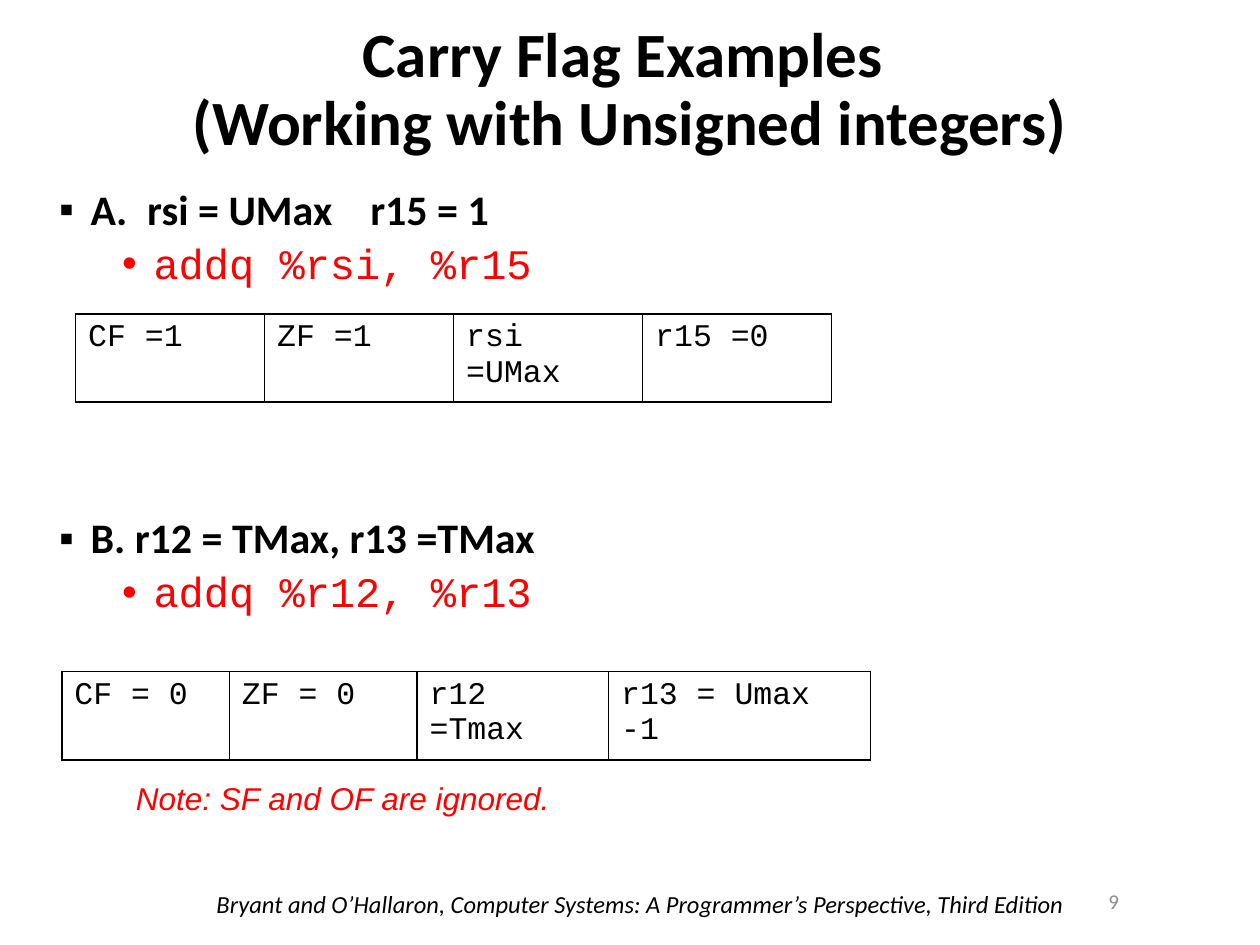
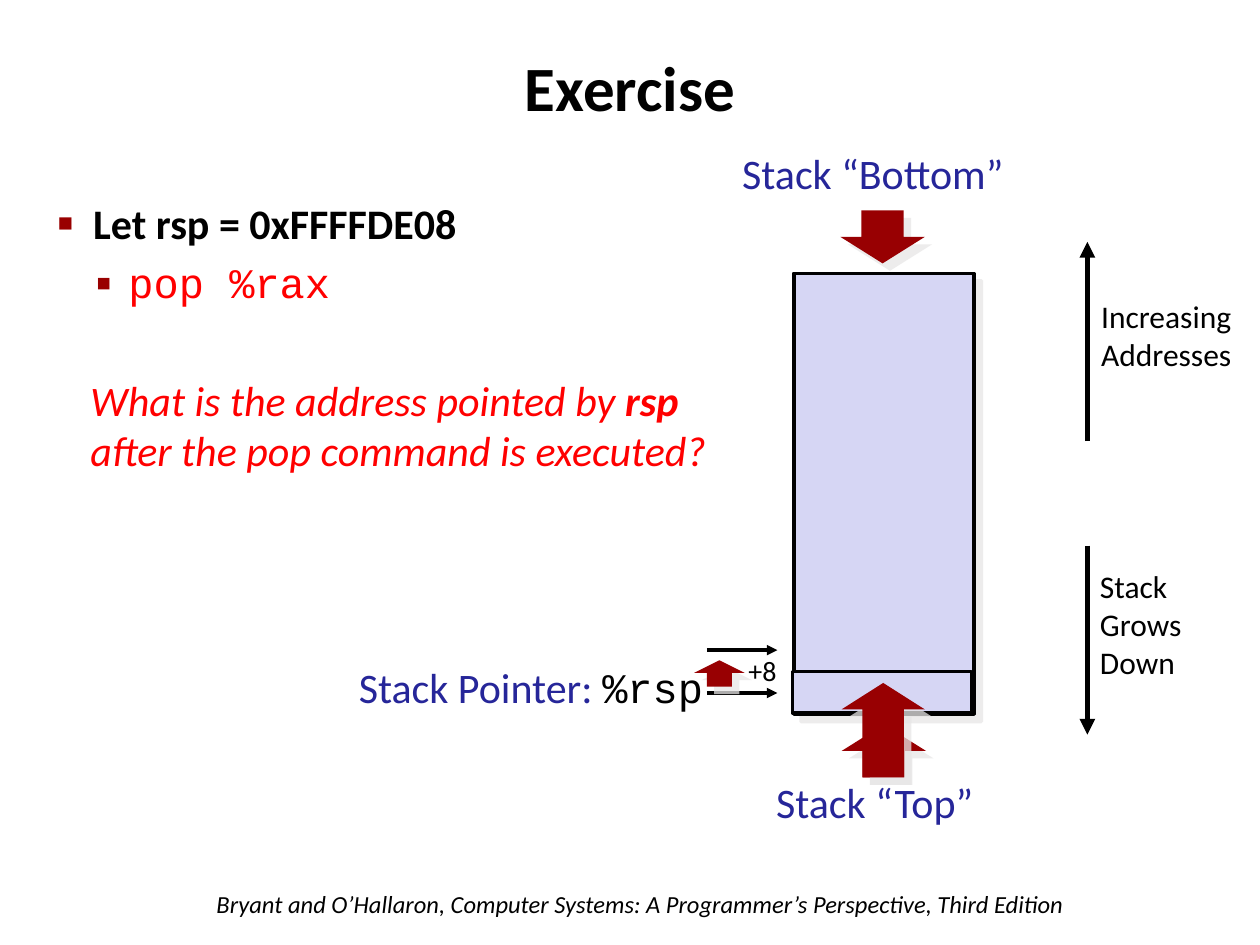
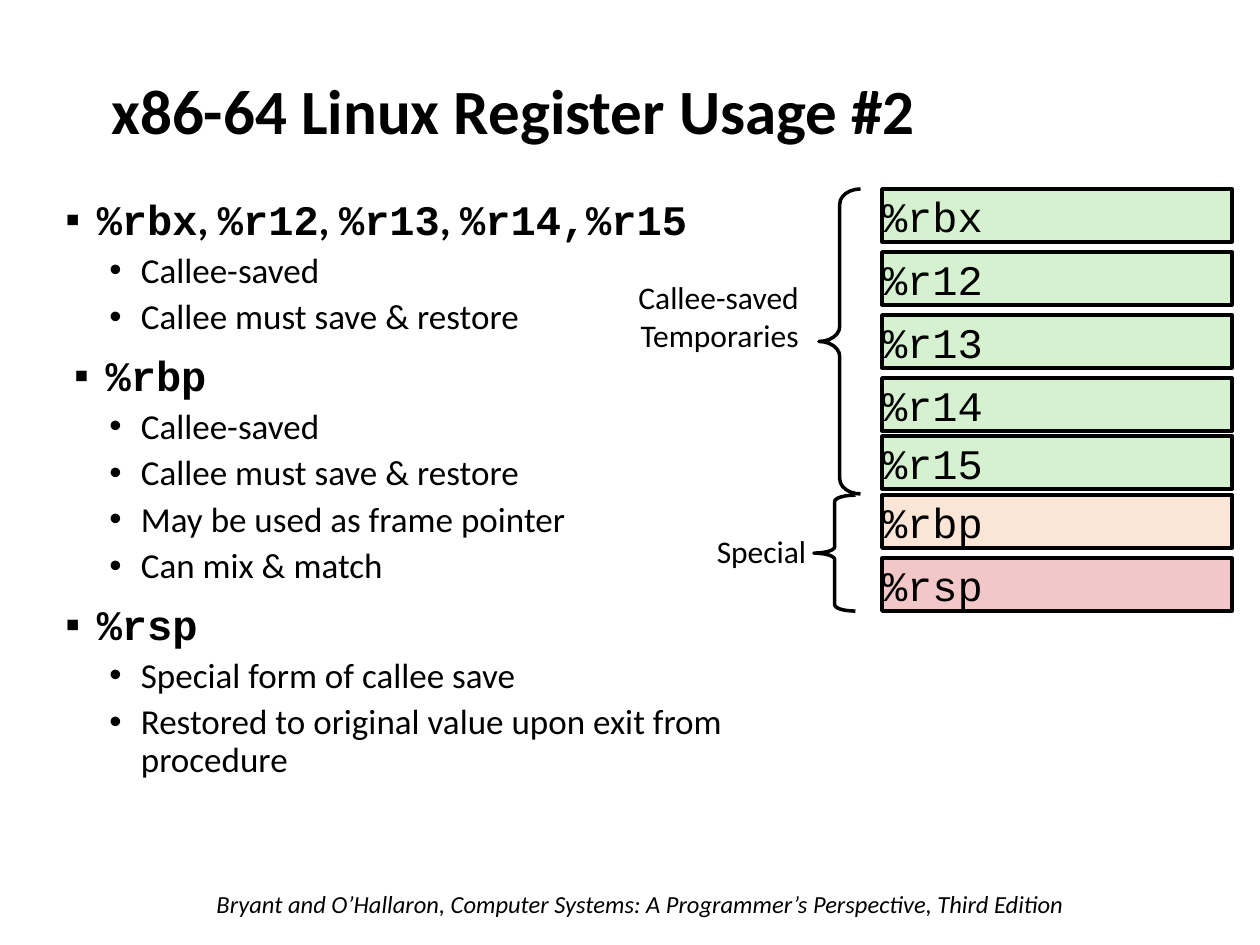
from dataclasses import dataclass

from lxml.etree import SubElement
from pptx import Presentation
from pptx.dml.color import RGBColor
from pptx.enum.shapes import MSO_CONNECTOR, MSO_SHAPE
from pptx.enum.text import MSO_ANCHOR, MSO_AUTO_SIZE, PP_ALIGN
from pptx.oxml.ns import qn
from pptx.util import Inches, Pt

BLACK = RGBColor(0x00, 0x00, 0x00)
RED = RGBColor(0xFF, 0x00, 0x00)
GRAY = RGBColor(0x8C, 0x8C, 0x8C)
NAVY = RGBColor(0x26, 0x26, 0x99)
ARROW_RED = RGBColor(0x98, 0x00, 0x02)
BULLET_RED = RGBColor(0x99, 0x00, 0x00)
SHADOW = RGBColor(0xE7, 0xE6, 0xE6)
LAVENDER = RGBColor(0xD6, 0xD6, 0xF4)
GREEN = RGBColor(0xD5, 0xF1, 0xCF)
PEACH = RGBColor(0xFB, 0xE5, 0xD6)
PINK = RGBColor(0xF1, 0xC7, 0xC7)

SANS, MONO = "Calibri", "Courier New"
FOOTER = ("Bryant and O’Hallaron, Computer Systems: "
          "A Programmer’s Perspective, Third Edition")
TITLE_BOX = (0, 0, 10, 1.45)


@dataclass
class Run:
    text: str
    size: float = 18
    font: str = SANS
    color: RGBColor = BLACK
    bold: bool = False
    italic: bool = False


@dataclass
class Bullet:
    char: str
    indent: float
    hang: float = 0.25
    before: float = 10
    level: int = 0
    spacing: float = 0.9
    color: RGBColor = None
    percent: int = 100


TOPIC = Bullet("▪", 0.25)
EXAMPLE = Bullet("•", 0.75, before=5, level=1)
DETAIL = Bullet("•", 0.6, before=5, level=1)


def head(text):
    return Run(text, 24, bold=True)


def code(text, color=BLACK, bold=False):
    return Run(text, 24, MONO, color, bold)


def inches(box):
    return [Inches(v) for v in box]


def add_runs(p, runs):
    for run in runs:
        r = p.add_run()
        r.text = run.text
        r.font.size = Pt(run.size)
        r.font.name = run.font
        r.font.color.rgb = run.color
        r.font.bold = run.bold
        r.font.italic = run.italic


def set_insets(tf, x, y):
    tf.margin_left = tf.margin_right = Inches(x)
    tf.margin_top = tf.margin_bottom = Inches(y)


def add_text(slide, box, lines, align=PP_ALIGN.LEFT, anchor=MSO_ANCHOR.TOP,
             insets=(0.1, 0.05), wrap=True):
    """Add a text box; each line is a list of runs."""
    tf = slide.shapes.add_textbox(*inches(box)).text_frame
    tf.word_wrap = wrap
    if not wrap:
        tf.auto_size = MSO_AUTO_SIZE.SHAPE_TO_FIT_TEXT
    tf.vertical_anchor = anchor
    set_insets(tf, *insets)
    for i, runs in enumerate(lines):
        p = tf.add_paragraph() if i else tf.paragraphs[0]
        p.alignment = align
        add_runs(p, runs)
    return tf


def add_title(slide, lines, box=TITLE_BOX):
    tf = add_text(slide, box, [[]], PP_ALIGN.CENTER, MSO_ANCHOR.MIDDLE)
    p = tf.paragraphs[0]
    p.line_spacing = 0.9
    for i, line in enumerate(lines):
        if i:
            p.add_line_break()
        add_runs(p, [Run(line, 36, bold=True)])


def add_slide(prs, title_lines, title_box=TITLE_BOX):
    slide = prs.slides.add_slide(prs.slide_layouts[6])
    add_text(slide, (1.62, 7.01, 7.1, 0.34), [[Run(FOOTER, 14, italic=True)]])
    add_title(slide, title_lines, title_box)
    return slide


def set_bullet(p, bullet, tabs=()):
    pPr = p._p.get_or_add_pPr()
    pPr.set("marL", str(Inches(bullet.indent)))
    pPr.set("indent", str(-Inches(bullet.hang)))
    if bullet.color is not None:
        clr = SubElement(pPr, qn("a:buClr"))
        SubElement(clr, qn("a:srgbClr"), val=str(bullet.color))
    SubElement(pPr, qn("a:buSzPct"), val=str(bullet.percent * 1000))
    SubElement(pPr, qn("a:buFont"), typeface="Arial")
    SubElement(pPr, qn("a:buChar"), char=bullet.char)
    if tabs:
        tab_list = SubElement(pPr, qn("a:tabLst"))
        for pos in tabs:
            SubElement(tab_list, qn("a:tab"), pos=str(Inches(pos)), algn="l")


def add_bullets(slide, box, items, insets=(0.1, 0.05), tabs=()):
    """Add a bulleted list of (bullet, runs) items."""
    tf = add_text(slide, box, [[]], insets=insets)
    for i, (bullet, runs) in enumerate(items):
        p = tf.add_paragraph() if i else tf.paragraphs[0]
        p.level = bullet.level
        p.line_spacing = bullet.spacing
        p.space_before = Pt(bullet.before if i else 0)
        set_bullet(p, bullet, tabs)
        add_runs(p, runs)


def set_borders(cell):
    tcPr = cell._tc.get_or_add_tcPr()
    for i, side in enumerate(("a:lnL", "a:lnR", "a:lnT", "a:lnB")):
        ln = SubElement(tcPr, qn(side), w=str(Pt(1)))
        fill = SubElement(ln, qn("a:solidFill"))
        SubElement(fill, qn("a:srgbClr"), val=str(BLACK))
        tcPr.insert(i, ln)


def add_state_table(slide, left, top, widths, values):
    """Add a one-row table of flags and registers."""
    table = slide.shapes.add_table(
        1, len(values), *inches((left, top, sum(widths), 0.41))).table
    table.first_row = table.horz_banding = False
    for i, (width, value) in enumerate(zip(widths, values)):
        table.columns[i].width = Inches(width)
        cell = table.cell(0, i)
        cell.fill.background()
        set_borders(cell)
        add_runs(cell.text_frame.paragraphs[0], [Run(value, font=MONO)])


def add_shape(slide, kind, box, fill=None, line=None, shadow=False):
    sp = slide.shapes.add_shape(kind, *inches(box))
    sp.shadow.inherit = False
    if fill is None:
        sp.fill.background()
    else:
        sp.fill.solid()
        sp.fill.fore_color.rgb = fill
    if line is None:
        sp.line.fill.background()
    else:
        sp.line.color.rgb = line
        sp.line.width = Pt(2)
    if shadow:
        effects = sp._element.spPr.find(qn("a:effectLst"))
        outer = SubElement(effects, qn("a:outerShdw"), dist=str(Pt(6)),
                           dir="2700000", algn="ctr", rotWithShape="0")
        clr = SubElement(outer, qn("a:srgbClr"), val=str(SHADOW))
        SubElement(clr, qn("a:alpha"), val="75000")
    return sp


def add_block_arrow(slide, kind, box, head_length):
    sp = add_shape(slide, kind, box, ARROW_RED, shadow=True)
    sp.adjustments[0] = 0.5
    sp.adjustments[1] = head_length / min(box[2:])


def add_arrow(slide, x1, y1, x2, y2, width=2):
    line = slide.shapes.add_connector(MSO_CONNECTOR.STRAIGHT,
                                      *inches((x1, y1, x2, y2)))
    line.line.color.rgb = BLACK
    line.line.width = Pt(width)
    SubElement(line.line._get_or_add_ln(), qn("a:tailEnd"), type="triangle")
    SubElement(line._element.spPr, qn("a:effectLst"))


def add_brace(slide, box, curve):
    sp = add_shape(slide, MSO_SHAPE.LEFT_BRACE, box, line=BLACK)
    sp.adjustments[0] = curve / box[2]
    sp.adjustments[1] = 0.5


def add_register(slide, top, name, fill):
    sp = add_shape(slide, MSO_SHAPE.RECTANGLE, (7, top, 2.78, 0.42), fill, BLACK)
    tf = sp.text_frame
    tf.vertical_anchor = MSO_ANCHOR.MIDDLE
    set_insets(tf, 0, 0)
    p = tf.paragraphs[0]
    p.alignment = PP_ALIGN.LEFT
    add_runs(p, [code(name)])


def build_carry_flag(prs):
    slide = add_slide(prs, ["Carry Flag Examples ",
                            "(Working with Unsigned integers)"])
    add_text(slide, (8.57, 6.95, 0.41, 0.4), [[Run("9", 12, color=GRAY)]],
             PP_ALIGN.RIGHT, MSO_ANCHOR.MIDDLE)
    below_table = Bullet("▪", 0.25, before=131)
    add_bullets(slide, (0.37, 1.45, 9.41, 5.04), [
        (TOPIC, [head("A.\trsi = UMax\tr15 = 1")]),
        (EXAMPLE, [code("addq %rsi, %r15", RED)]),
        (below_table, [head("B. r12 = TMax, r13 =TMax")]),
        (EXAMPLE, [code("addq %r12, %r13", RED)]),
    ], tabs=(0.7, 2.47))
    add_state_table(slide, 0.6, 2.49, [1.5] * 4,
                    ["CF =1", "ZF =1", "rsi =UMax", "r15 =0"])
    add_state_table(slide, 0.49, 5.33, [1.33, 1.49, 1.52, 2.08],
                    ["CF = 0", "ZF = 0", "r12 =Tmax", "r13 = Umax -1"])
    add_text(slide, (0.98, 6.13, 8.45, 0.4),
             [[Run("Note: SF and OF are ignored.", 18, "Arial", RED, italic=True)]])


def build_stack_exercise(prs):
    slide = add_slide(prs, ["Exercise"])
    flush = (0, 0)

    add_block_arrow(slide, MSO_SHAPE.UP_ARROW, (6.68, 5.75, 0.67, 0.42), 0.21)
    add_shape(slide, MSO_SHAPE.RECTANGLE, (6.3, 2.17, 1.43, 3.5),
              LAVENDER, BLACK, shadow=True)
    add_shape(slide, MSO_SHAPE.RECTANGLE, (6.29, 5.33, 1.42, 0.33), LAVENDER, BLACK)
    add_block_arrow(slide, MSO_SHAPE.UP_ARROW, (6.68, 5.42, 0.66, 0.75), 0.21)
    add_block_arrow(slide, MSO_SHAPE.DOWN_ARROW, (6.67, 1.67, 0.67, 0.42), 0.21)
    for text, box in (("Stack “Top”", (6.16, 6.16, 1.7, 0.49)),
                      ("Stack “Bottom”", (5.89, 1.17, 2.23, 0.49))):
        add_text(slide, box, [[Run(text, 24, color=NAVY)]], insets=flush, wrap=False)

    add_text(slide, (2.8, 5.25, 2.78, 0.4),
             [[Run("Stack Pointer: ", 24, color=NAVY), code("%rsp")]],
             PP_ALIGN.RIGHT, insets=flush, wrap=False)
    for y in (5.16, 5.5):
        add_arrow(slide, 5.61, y, 6.17, y)
    add_text(slide, (5.9, 5.15, 0.31, 0.35), [[Run("+8", 16)]],
             insets=(0.04, 0.04), wrap=False)
    add_block_arrow(slide, MSO_SHAPE.UP_ARROW, (5.51, 5.24, 0.4, 0.21), 0.1)

    add_arrow(slide, 8.63, 3.5, 8.63, 1.92, 3)
    add_text(slide, (8.74, 2.36, 1.13, 0.69),
             [[Run("Increasing")], [Run("Addresses")]], insets=flush, wrap=False)
    add_arrow(slide, 8.63, 4.33, 8.63, 5.83, 3)
    add_text(slide, (8.73, 4.5, 0.89, 1),
             [[Run("Stack Grows")], [Run("Down")]], insets=flush)

    given = Bullet("■", 0.28, 0.28, 6, 0, 1, BULLET_RED, 60)
    command = Bullet("▪", 0.56, 0.26, 5, 1, 1, BULLET_RED, 110)
    add_bullets(slide, (0.42, 1.53, 9.17, 5.94), [
        (given, [head("Let rsp = 0xFFFFDE08")]),
        (command, [code("pop %rax", RED)]),
    ], insets=(0.04, 0.04))
    question = [("What is the address pointed by ", False), ("rsp", True),
                (" after the pop command is executed?", False)]
    add_text(slide, (0.62, 2.92, 5.3, 0.91),
             [[Run(text, 24, SANS, RED, bold, True) for text, bold in question]])


def build_register_usage(prs):
    slide = add_slide(prs, ["x86-64 Linux Register Usage #2"],
                      (0.42, 0.28, 7.31, 1.25))
    saved_names = []
    for name in ("%rbx", "%r12", "%r13"):
        saved_names += [code(name, bold=True), head(", ")]
    saved_names.append(code("%r14,%r15", bold=True))
    saved_rules = ["Callee-saved", "Callee must save & restore"]
    groups = [
        (TOPIC, saved_names, saved_rules),
        (Bullet("▪", 0.32), [code("%rbp", bold=True)],
         saved_rules + ["May be used as frame pointer", "Can mix & match"]),
        (TOPIC, [code("%rsp", bold=True)],
         ["Special form of callee save",
          "Restored to original value upon exit from procedure"]),
    ]
    items = []
    for bullet, names, details in groups:
        items.append((bullet, names))
        items += [(DETAIL, [Run(text, 20)]) for text in details]
    add_bullets(slide, (0.42, 1.53, 5.56, 4.81), items)

    for top, name, fill in (
            (1.5, "%rbx", GREEN), (2, "%r12", GREEN), (2.5, "%r13", GREEN),
            (3, "%r14", GREEN), (3.46, "%r15", GREEN),
            (3.93, "%rbp", PEACH), (4.43, "%rsp", PINK)):
        add_register(slide, top, name, fill)
    add_brace(slide, (6.5, 1.5, 0.33, 2.42), 0.12)
    add_brace(slide, (6.46, 3.93, 0.33, 0.92), 0.05)
    for box, lines in (((5, 2.17, 1.38, 0.69), ["Callee-saved", "Temporaries"]),
                       ((5.61, 4.18, 0.83, 0.39), ["Special"])):
        add_text(slide, box, [[Run(line)] for line in lines],
                 PP_ALIGN.RIGHT, insets=(0.04, 0.04), wrap=False)


def main():
    prs = Presentation()
    prs.slide_width, prs.slide_height = Inches(10), Inches(7.5)
    build_carry_flag(prs)
    build_stack_exercise(prs)
    build_register_usage(prs)
    prs.save("out.pptx")


if __name__ == "__main__":
    main()
